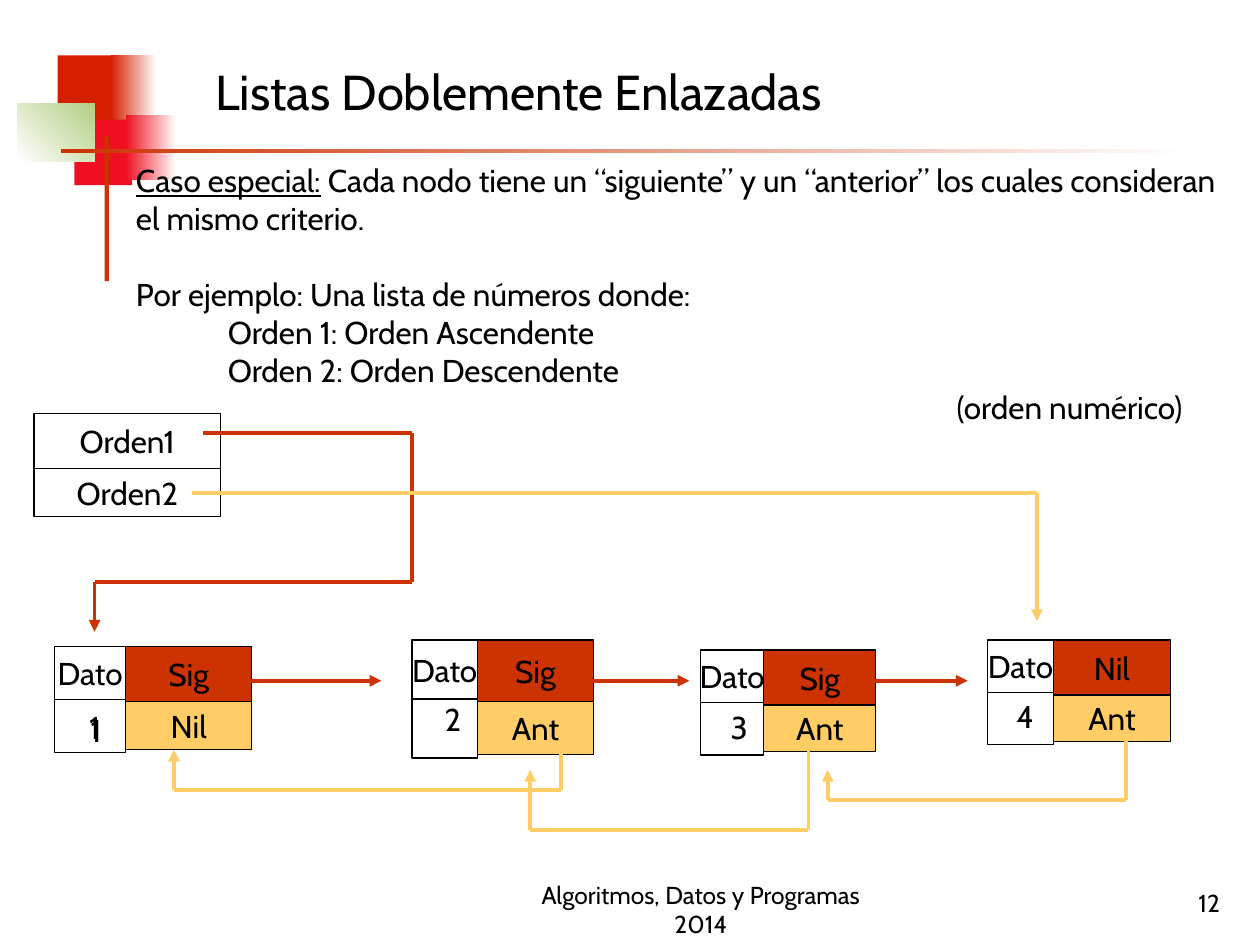
import pptx
import pptx.util
import pptx.dml.color
import pptx.enum.shapes
import pptx.enum.text
import pptx.oxml.ns
import pptx.oxml.xmlchemy

Pt = pptx.util.Pt
ALIGN = pptx.enum.text.PP_ALIGN
ANCHOR = pptx.enum.text.MSO_ANCHOR
RED, GOLD, BLACK, WHITE = "CC3300", "FFCC66", "000000", "FFFFFF"

DECOR = [
    ((33, 31.7, 34.5, 37.4), ["D61F00"], 0),
    ((63.4, 31.7, 25.9, 37.4), ["D61F00", WHITE], 0),
    ((42.5, 68.4, 33.1, 37.4), ["EF1121"], 0),
    ((72, 65.5, 28.8, 37.4), ["EF1121", WHITE], 0),
    ((10, 59, 44, 33.1), [WHITE, "B3CE82"], 45),
    ((59.8, 77.8, 2.5, 82.8), [RED], 0),
    ((34.6, 85, 648, 2.4), [RED, WHITE], 0),
]

TITLE = "Listas Doblemente Enlazadas"
BODY = [
    (" Cada nodo tiene un “siguiente” y un “anterior” los cuales consideran el mismo criterio.",
     {"lead": "Caso especial:"}),
    ("Por ejemplo: Una lista de números donde:", {"gap": 21.8}),
    ("Orden 1: Orden Ascendente", {"indent": 52.5}),
    ("Orden 2: Orden Descendente", {"indent": 52.5}),
    ("(orden numérico)", {"indent": 469}),
]

HEADS = [("Orden1", 236.2, 31.7), ("Orden2", 267.9, 27.4)]

NODES = [
    {"at": (235.5, 365.7), "data": (37.3, 33.8), "link": (66.4, 35.3, 30.1),
     "names": ("Sig", "Ant"), "marks": [("2", 247, 396.7)]},
    {"at": (400.3, 371.4), "data": (36.2, 30), "link": (64, 31.5, 26.7),
     "names": ("Sig", "Ant"), "marks": [("3", 410.4, 401)]},
    {"at": (564.4, 365.7), "data": (37.5, 30), "link": (67, 31.5, 26.7),
     "names": ("Nil", "Ant"), "marks": [("4", 573.8, 394.5)]},
    {"at": (31.2, 369.5), "data": (40.7, 30.2), "link": (72, 31.5, 27.2),
     "names": ("Sig", "Nil"), "marks": [("1", 44.6, 402.5), ("1", 43.9, 401)]},
]

ROUTES = [
    (RED, [(116, 247.5), (235.5, 247.5), (235.5, 332.5), (54, 332.5), (54, 361)]),
    (RED, [(133, 389), (218, 389)]),
    (RED, [(332, 389), (394, 389)]),
    (RED, [(496, 389), (553, 389)]),
    (GOLD, [(110, 281.5), (592.5, 281.5), (592.5, 355)]),
    (GOLD, [(643.5, 418), (643.5, 457), (473, 457), (473, 440)]),
    (GOLD, [(462, 428.5), (462, 474.5), (303, 474.5), (303, 440)]),
    (GOLD, [(320.5, 428.5), (320.5, 451.5), (99.4, 451.5), (99.4, 428.5)]),
]


def color(code):
    return pptx.dml.color.RGBColor.from_string(code)


def write(frame, words, size=18, align=ALIGN.LEFT, lead="", indent=0, gap=0):
    para = frame.paragraphs[0]
    if para.runs:
        para = frame.add_paragraph()
    para.alignment = align
    if gap:
        para.space_before = Pt(gap)
    if indent:
        para._p.get_or_add_pPr().set("marL", str(Pt(indent)))
    for part, under in ((lead, True), (words, False)):
        if part:
            run = para.add_run()
            run.text = part
            run.font.name = "Cabin"
            run.font.size = Pt(size)
            run.font.underline = under
            run.font.color.rgb = color(BLACK)


def field(box, anchor=ANCHOR.TOP):
    frame = slide.shapes.add_textbox(*map(Pt, box)).text_frame
    frame.word_wrap = True
    frame.vertical_anchor = anchor
    return frame


def block(box, fills=(), angle=0, edge=True, words=""):
    shape = slide.shapes.add_shape(
        pptx.enum.shapes.MSO_SHAPE.RECTANGLE, *map(Pt, box))
    shape.shadow.inherit = False
    if len(fills) == 2:
        shape.fill.gradient()
        shape.fill.gradient_angle = angle
        for stop, code in zip(shape.fill.gradient_stops, fills):
            stop.color.rgb = color(code)
    elif fills:
        shape.fill.solid()
        shape.fill.fore_color.rgb = color(fills[0])
    else:
        shape.fill.background()
    if edge:
        shape.line.color.rgb = color(BLACK)
        shape.line.width = Pt(0.75)
    else:
        shape.line.fill.background()
    if words:
        frame = shape.text_frame
        frame.word_wrap = False
        frame.vertical_anchor = ANCHOR.MIDDLE
        write(frame, words, align=ALIGN.CENTER)


def route(code, spots):
    for start, end in zip(spots, spots[1:]):
        line = slide.shapes.add_connector(
            pptx.enum.shapes.MSO_CONNECTOR.STRAIGHT, *map(Pt, start + end))
        line.line.color.rgb = color(code)
        line.line.width = Pt(2.25)
        props = line._element.spPr
        props.append(pptx.oxml.xmlchemy.OxmlElement("a:effectLst"))
    tail = pptx.oxml.xmlchemy.OxmlElement("a:tailEnd")
    tail.set("type", "triangle")
    tail.set("w", "med")
    tail.set("len", "med")
    props.find(pptx.oxml.ns.qn("a:ln")).append(tail)


def node(at, data, link, names, marks):
    left, top = at
    wide, high = data
    span, upper, lower = link
    block((left, top, wide, high), words="Dato")
    block((left, top + high, wide, high))
    block((left + wide, top, span, upper), [RED], words=names[0])
    block((left + wide, top + upper, span, lower), [GOLD], words=names[1])
    for digit, x, y in marks:
        write(field((x, y, 24.5, 29)), digit)


deck = pptx.Presentation()
deck.slide_width, deck.slide_height = Pt(720), Pt(540)
slide = deck.slides.add_slide(deck.slide_layouts[6])

for box, fills, angle in DECOR:
    block(box, fills, angle, edge=False)

write(field((116, 38, 515.5, 28), ANCHOR.MIDDLE), TITLE, size=28)
body = field((70.6, 88.6, 635, 180))
for words, style in BODY:
    write(body, words, **style)

for words, top, high in HEADS:
    block((19.5, top, 106.5, high), words=words)
for item in NODES:
    node(**item)
for code, spots in ROUTES:
    route(code, spots)

write(field((554.4, 491.8, 149.8, 36), ANCHOR.BOTTOM), "12",
      size=14, align=ALIGN.RIGHT)
write(field((292, 504, 217, 36), ANCHOR.BOTTOM), "Algoritmos, Datos y Programas 2014",
      size=14, align=ALIGN.CENTER)

deck.save("out.pptx")
